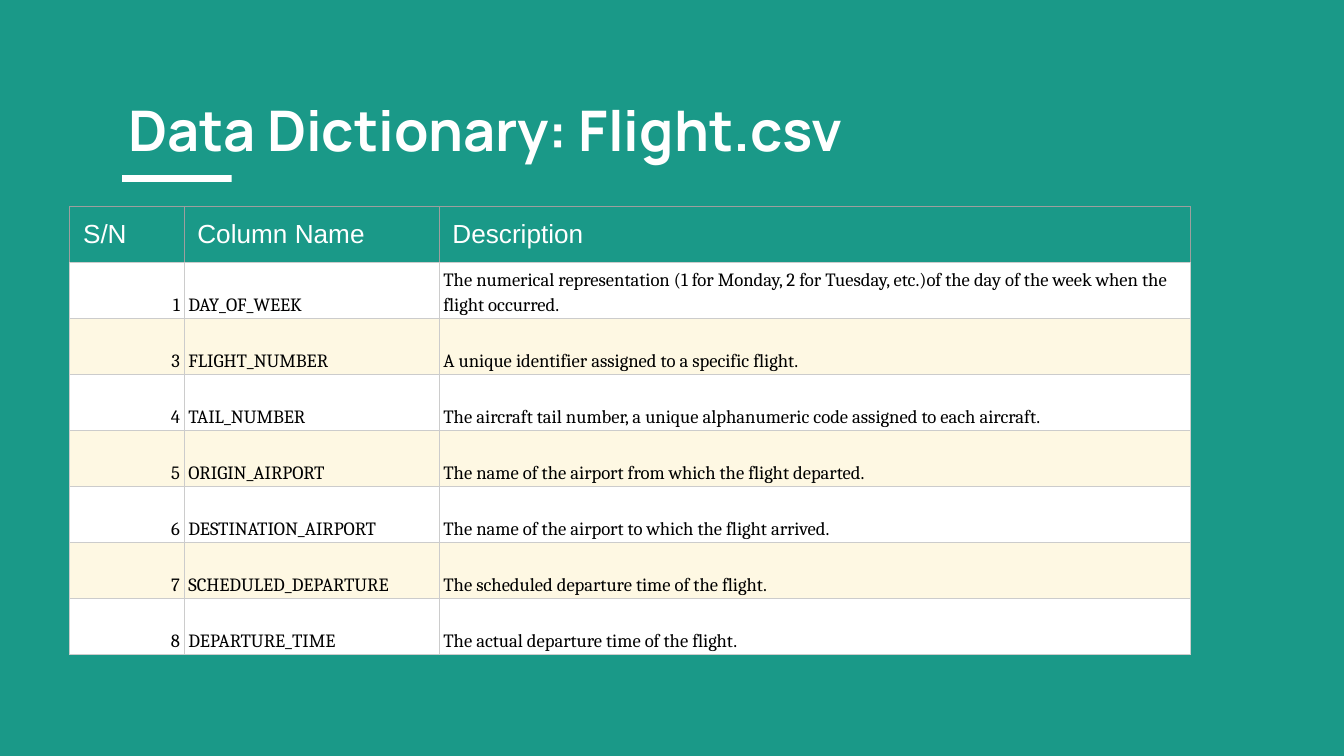
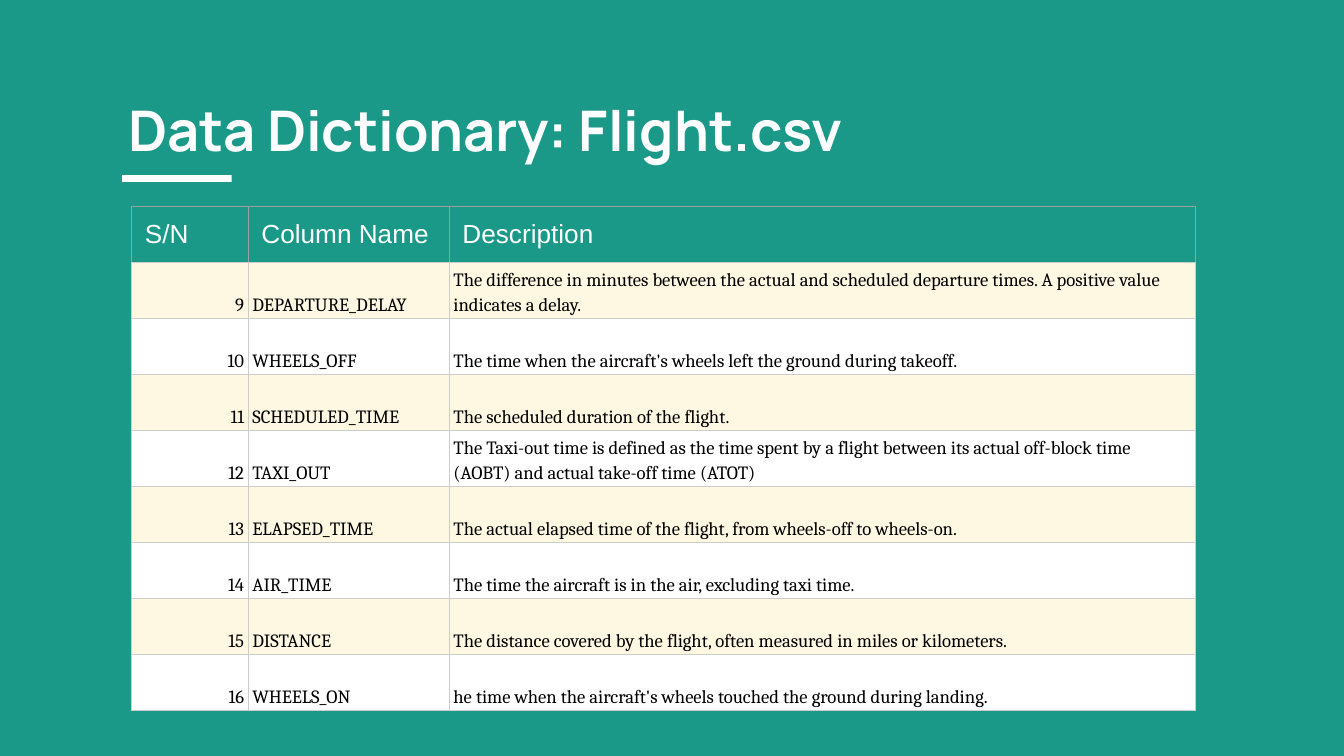
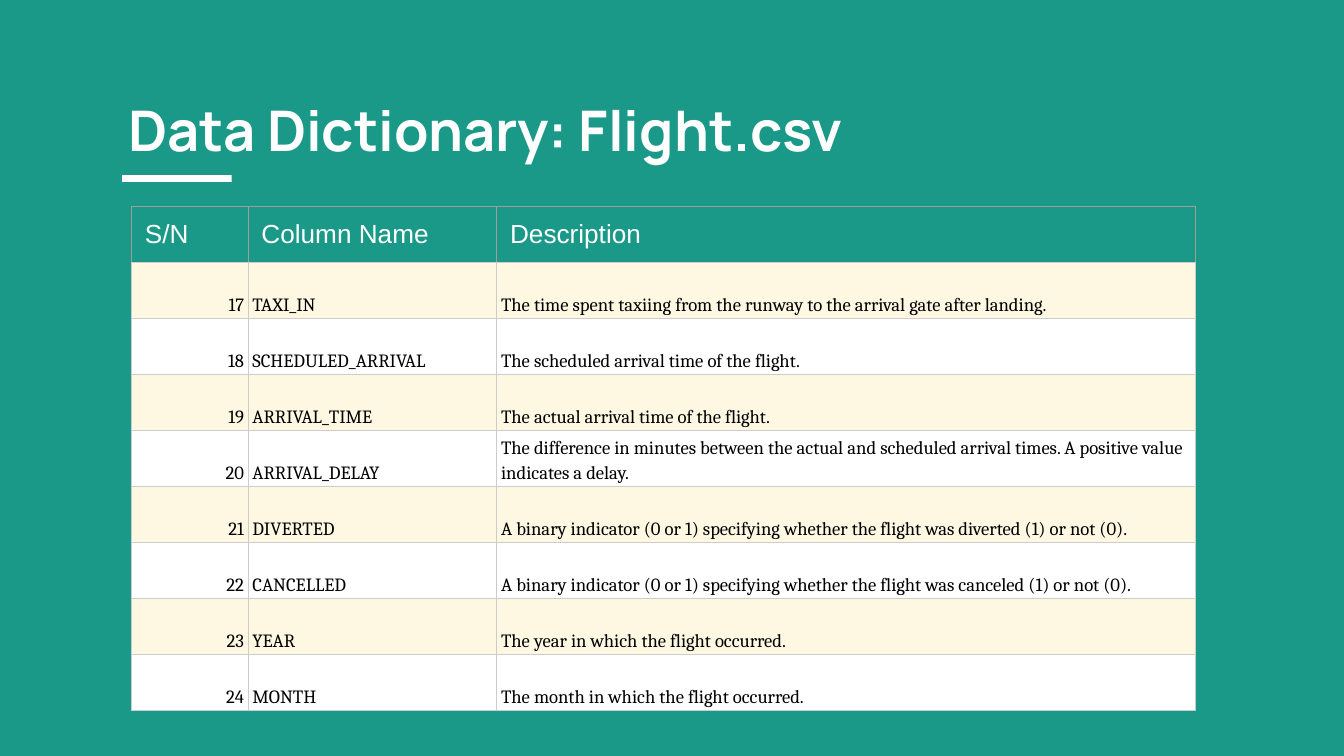
from lxml import etree
from pptx import Presentation
from pptx.dml.color import RGBColor
from pptx.enum.shapes import MSO_SHAPE
from pptx.enum.text import MSO_ANCHOR, MSO_AUTO_SIZE, PP_ALIGN
from pptx.oxml.ns import qn
from pptx.util import Cm, Pt

RECTANGLE = MSO_SHAPE.RECTANGLE
TOP, BOTTOM = MSO_ANCHOR.TOP, MSO_ANCHOR.BOTTOM
LEFT, RIGHT = PP_ALIGN.LEFT, PP_ALIGN.RIGHT
NO_AUTOFIT = MSO_AUTO_SIZE.NONE

# Shared look
TEAL, WHITE, CREAM, BLACK = "1A9988", "FFFFFF", "FEF8E3", "000000"
HEADER_RULE, BODY_RULE = ("9E9E9E", 0.75), ("CCCCCC", 0.56)
TITLE_FONT, HEADER_FONT, BODY_FONT = "Manrope", "Arial", "Cambria"
TITLE = "Data Dictionary: Flight.csv"
HEADINGS = ("S/N", "Column Name", "Description")
TABLE_TOP, ROW_HEIGHT = 3.91, 12.7 / 12
BAR_LENGTH, BAR_THICKNESS = 1.48, 0.07
TITLE_ONLY_LAYOUT = 5

# One dictionary page per slide; lengths in cm
PAGES = [
    {"title_width": 15.24, "left": 1.32, "columns": (2.16, 4.82, 14.2), "entries": [
        (1, "DAY_OF_WEEK", "The numerical representation (1 for Monday, 2 for Tuesday, etc.)"
                           "of the day of the week when the flight occurred."),
        (3, "FLIGHT_NUMBER", "A unique identifier assigned to a specific flight."),
        (4, "TAIL_NUMBER", "The aircraft tail number, a unique alphanumeric code "
                           "assigned to each aircraft."),
        (5, "ORIGIN_AIRPORT", "The name of the airport from which the flight departed."),
        (6, "DESTINATION_AIRPORT", "The name of the airport to which the flight arrived."),
        (7, "SCHEDULED_DEPARTURE", "The scheduled departure time of the flight."),
        (8, "DEPARTURE_TIME", "The actual departure time of the flight."),
    ]},
    {"title_width": 16.1, "left": 2.49, "columns": (2.2, 3.8, 14.1), "entries": [
        (9, "DEPARTURE_DELAY", "The difference in minutes between the actual and scheduled "
                               "departure times. A positive value indicates a delay."),
        (10, "WHEELS_OFF", "The time when the aircraft's wheels left the ground during takeoff."),
        (11, "SCHEDULED_TIME", "The scheduled duration of the flight."),
        (12, "TAXI_OUT", "The Taxi-out time is defined as the time spent by a flight between its "
                         "actual off-block time (AOBT) and actual take-off time (ATOT)"),
        (13, "ELAPSED_TIME", "The actual elapsed time of the flight, from wheels-off to wheels-on."),
        (14, "AIR_TIME", "The time the aircraft is in the air, excluding taxi time."),
        (15, "DISTANCE", "The distance covered by the flight, often measured in miles "
                         "or kilometers."),
        (16, "WHEELS_ON", "he time when the aircraft's wheels touched the ground during landing."),
    ]},
    {"title_width": 17.37, "left": 2.49, "columns": (2.2, 4.7, 13.2), "entries": [
        (17, "TAXI_IN", "The time spent taxiing from the runway to the arrival gate after landing."),
        (18, "SCHEDULED_ARRIVAL", "The scheduled arrival time of the flight."),
        (19, "ARRIVAL_TIME", "The actual arrival time of the flight."),
        (20, "ARRIVAL_DELAY", "The difference in minutes between the actual and scheduled "
                              "arrival times. A positive value indicates a delay."),
        (21, "DIVERTED", "A binary indicator (0 or 1) specifying whether the flight "
                         "was diverted (1) or not (0)."),
        (22, "CANCELLED", "A binary indicator (0 or 1) specifying whether the flight "
                          "was canceled (1) or not (0)."),
        (23, "YEAR", "The year in which the flight occurred."),
        (24, "MONTH", "The month in which the flight occurred."),
    ]},
]


def color(hex_string):
    return RGBColor.from_string(hex_string)


def write(frame, text, *, font, size, ink, bold=False, align=LEFT, spacing=1.0):
    frame.word_wrap = True
    paragraph = frame.paragraphs[0]
    paragraph.alignment = align
    paragraph.line_spacing = spacing
    run = paragraph.add_run()
    run.text = text
    run.font.name, run.font.size, run.font.bold = font, Pt(size), bold
    run.font.color.rgb = color(ink)


def set_margins(holder, across, down):
    holder.margin_left = holder.margin_right = Cm(across)
    holder.margin_top = holder.margin_bottom = Cm(down)


def add_title(slide, width):
    title = slide.shapes.title
    title.left, title.top, title.width, title.height = Cm(2.17), Cm(1.56), Cm(width), Cm(2.06)
    frame = title.text_frame
    frame.auto_size, frame.vertical_anchor = NO_AUTOFIT, TOP
    set_margins(frame, 0.25, 0.25)
    write(frame, TITLE, font=TITLE_FONT, size=30, ink=WHITE, bold=True)


def add_underline(slide):
    # Two upright bars, turned to lie end to end, right one first
    underline = slide.shapes.add_group_shape()
    for center in (1.5 * BAR_LENGTH, 0.5 * BAR_LENGTH):
        bar = underline.shapes.add_shape(
            RECTANGLE, Cm(center - BAR_THICKNESS / 2), Cm((BAR_THICKNESS - BAR_LENGTH) / 2),
            Cm(BAR_THICKNESS), Cm(BAR_LENGTH))
        bar.rotation = 270
        bar.shadow.inherit = False
        bar.fill.solid()
        bar.fill.fore_color.rgb = color(WHITE)
        bar.line.fill.background()
    # The group's inner space is the laid-out rule, fitted to its place below the title
    frame = underline._element.grpSpPr.find(qn("a:xfrm"))
    inner_origin, inner_size = frame.find(qn("a:chOff")), frame.find(qn("a:chExt"))
    inner_origin.set("x", "0")
    inner_origin.set("y", "0")
    inner_size.set("cx", str(Cm(2 * BAR_LENGTH)))
    inner_size.set("cy", str(Cm(BAR_THICKNESS)))
    underline.left, underline.top = Cm(2.31), Cm(3.31)
    underline.width, underline.height = Cm(2.07), Cm(0.13)


def set_borders(cell, sides, bottom):
    properties = cell._tc.get_or_add_tcPr()
    for edge, (ink, width) in zip(("lnL", "lnR", "lnT", "lnB"), (sides, sides, sides, bottom)):
        line = etree.SubElement(properties, qn(f"a:{edge}"), w=str(Pt(width)))
        fill = etree.SubElement(line, qn("a:solidFill"))
        etree.SubElement(fill, qn("a:srgbClr"), val=ink)


def format_header(cell, heading):
    set_borders(cell, HEADER_RULE, BODY_RULE)
    cell.fill.background()
    set_margins(cell, 0.25, 0.25)
    write(cell.text_frame, heading, font=HEADER_FONT, size=14, ink=WHITE)


def format_entry(cell, text, band, align):
    set_borders(cell, BODY_RULE, BODY_RULE)
    cell.fill.solid()
    cell.fill.fore_color.rgb = color(band)
    cell.vertical_anchor = BOTTOM
    set_margins(cell, 0.08, 0.05)
    write(cell.text_frame, text, font=BODY_FONT, size=10, ink=BLACK, align=align, spacing=1.15)


def add_dictionary(slide, left, columns, entries, first_index):
    row_count = len(entries) + 1
    table = slide.shapes.add_table(
        row_count, len(columns), Cm(left), Cm(TABLE_TOP),
        Cm(sum(columns)), Cm(ROW_HEIGHT * row_count)).table
    table.first_row = table.horz_banding = False
    for column, width in zip(table.columns, columns):
        column.width = Cm(width)
    for row in table.rows:
        row.height = Cm(ROW_HEIGHT)
    for c, heading in enumerate(HEADINGS):
        format_header(table.cell(0, c), heading)
    # Bands alternate on from one slide to the next
    for r, entry in enumerate(entries):
        band = CREAM if (first_index + r) % 2 else WHITE
        for c, value in enumerate(entry):
            format_entry(table.cell(r + 1, c), str(value), band, LEFT if c else RIGHT)


def main():
    deck = Presentation()
    deck.slide_width, deck.slide_height = Cm(25.4), Cm(14.29)
    backdrop = deck.slide_master.background.fill
    backdrop.solid()
    backdrop.fore_color.rgb = color(TEAL)

    entries_done = 0
    for page in PAGES:
        slide = deck.slides.add_slide(deck.slide_layouts[TITLE_ONLY_LAYOUT])
        add_underline(slide)
        add_title(slide, page["title_width"])
        add_dictionary(slide, page["left"], page["columns"], page["entries"], entries_done)
        entries_done += len(page["entries"])
    deck.save("out.pptx")


if __name__ == "__main__":
    main()
